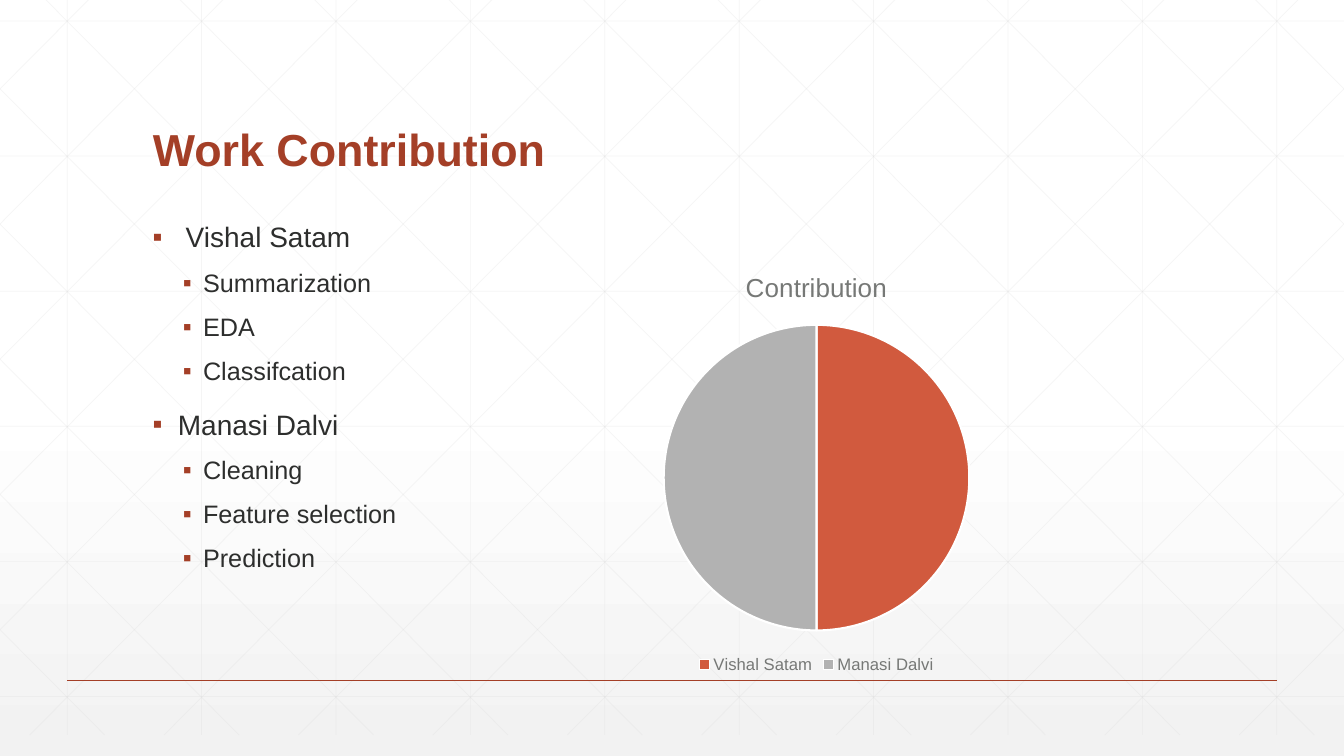
from copy import deepcopy

from lxml import etree
from pptx import Presentation
from pptx.chart.data import CategoryChartData
from pptx.dml.color import RGBColor
from pptx.enum.chart import XL_CHART_TYPE, XL_LEGEND_POSITION
from pptx.enum.shapes import MSO_CONNECTOR
from pptx.enum.text import MSO_ANCHOR, MSO_AUTO_SIZE, PP_ALIGN
from pptx.oxml.ns import qn
from pptx.util import Pt

PIE = XL_CHART_TYPE.PIE
LEGEND_BOTTOM = XL_LEGEND_POSITION.BOTTOM
STRAIGHT = MSO_CONNECTOR.STRAIGHT
ANCHOR_BOTTOM = MSO_ANCHOR.BOTTOM
NO_AUTOFIT = MSO_AUTO_SIZE.NONE
LEFT = PP_ALIGN.LEFT

COLORS = {
    "white": "FFFFFF",
    "fade": "F2F2F2",
    "grid": "D9D9D9",
    "accent": "A43F27",
    "text": "2D2E2D",
    "muted": "767876",
    "orange": "D15A3E",
    "gray": "B2B2B2",
}
FONT = "Arial"
WIDTH, HEIGHT = 960, 540
GRID_TOP, GRID_BOTTOM = -15, 525
PITCH = 96
SLOPE = 1.006

CONTRIBUTIONS = {
    " Vishal Satam": ["Summarization", "EDA", "Classifcation"],
    "Manasi Dalvi": ["Cleaning", "Feature selection", "Prediction"],
}
LEVELS = [
    {"size": 20, "before": 18, "margin": 18, "indent": -18},
    {"size": 18, "before": 12, "margin": 36, "indent": -14.4},
]


def format_font(font, size, color, bold=False):
    values = {"name": FONT, "size": Pt(size), "bold": bold}
    for name, value in values.items():
        setattr(font, name, value)
    font.color.rgb = RGBColor.from_string(COLORS[color])


def add_line(start, end, color, width, opacity=100):
    line = slide.shapes.add_connector(STRAIGHT, *[Pt(value) for value in (*start, *end)])
    line.line.color.rgb = RGBColor.from_string(COLORS[color])
    line.line.width = Pt(width)
    properties = line.element.find(qn("p:spPr"))
    if opacity < 100:
        alpha = etree.SubElement(next(properties.iter(qn("a:srgbClr"))), qn("a:alpha"))
        alpha.set("val", str(opacity * 1000))
    etree.SubElement(properties, qn("a:effectLst"))


presentation = Presentation()
presentation.slide_width = Pt(WIDTH)
presentation.slide_height = Pt(HEIGHT)
slide = presentation.slides.add_slide(presentation.slide_layouts[5])

background = slide.background.fill
background.gradient()
background.gradient_angle = 270
first_stop, last_stop = background.gradient_stops
first_stop.color.rgb = RGBColor.from_string(COLORS["white"])
first_stop.position = 0
last_stop.color.rgb = RGBColor.from_string(COLORS["fade"])
last_stop.position = 1
stop_list = next(slide.element.iter(qn("a:gsLst")))
middle_stop = deepcopy(stop_list[0])
middle_stop.set("pos", "53000")
stop_list.insert(1, middle_stop)

grid_lines = []
for column in range(10):
    x = 48 + PITCH * column
    grid_lines.append(((x, GRID_TOP), (x, GRID_BOTTOM)))
for row in range(6):
    y = 15 + 96.5 * row
    grid_lines.append(((0, y), (WIDTH, y)))
for diagonal in range(-5, 10):
    top_x = 18 + PITCH * diagonal
    start_x = max(top_x, 0)
    end_x = min(top_x + (GRID_BOTTOM - GRID_TOP) / SLOPE, WIDTH)
    start_y, end_y = [GRID_TOP + (x - top_x) * SLOPE for x in (start_x, end_x)]
    grid_lines.append(((start_x, start_y), (end_x, end_y)))
    grid_lines.append(((WIDTH - start_x, start_y), (WIDTH - end_x, end_y)))
for start, end in grid_lines:
    add_line(start, end, "grid", 0.5, 25)
add_line((48, 486), (912, 486), "accent", 1)

title = slide.shapes.title
title.element.getparent().append(title.element)
title_box = {"left": 102, "top": 39.6, "width": 756, "height": 90}
for name, value in title_box.items():
    setattr(title, name, Pt(value))
title.text_frame.text = "Work Contribution"
title.text_frame.vertical_anchor = ANCHOR_BOTTOM
title.text_frame.auto_size = NO_AUTOFIT
title_paragraph = title.text_frame.paragraphs[0]
title_paragraph.alignment = LEFT
title_paragraph.line_spacing = 0.9
format_font(title_paragraph.runs[0].font, 32, "accent", True)

body = slide.shapes.add_textbox(Pt(102), Pt(156), Pt(756), Pt(300)).text_frame
body.word_wrap = True
items = []
for person, tasks in CONTRIBUTIONS.items():
    items.append((person, 0))
    items.extend((task, 1) for task in tasks)
for index, (text, level) in enumerate(items):
    style = LEVELS[level]
    paragraph = body.add_paragraph() if index else body.paragraphs[0]
    paragraph.level = level
    paragraph.line_spacing = 0.9
    paragraph.space_before = Pt(style["before"])
    run = paragraph.add_run()
    run.text = text
    format_font(run.font, style["size"], "text")
    properties = paragraph._p.get_or_add_pPr()
    properties.set("marL", str(Pt(style["margin"])))
    properties.set("indent", str(Pt(style["indent"])))
    bullet_color = etree.SubElement(properties, qn("a:buClr"))
    etree.SubElement(bullet_color, qn("a:srgbClr")).set("val", COLORS["accent"])
    etree.SubElement(properties, qn("a:buFont")).set("typeface", FONT)
    etree.SubElement(properties, qn("a:buChar")).set("char", "▪")

chart_data = CategoryChartData()
chart_data.categories = [person.strip() for person in CONTRIBUTIONS]
chart_data.add_series("Contribution", [50, 50])
chart = slide.shapes.add_chart(PIE, Pt(366.5), Pt(180), Pt(433.5), Pt(304), chart_data).chart
format_font(chart.font, 10, "text")
chart.has_title = True
chart.chart_title.include_in_layout = False
chart.chart_title.text_frame.text = "Contribution"
format_font(chart.chart_title.text_frame.paragraphs[0].runs[0].font, 18.6, "muted")
chart.has_legend = True
chart.legend.position = LEGEND_BOTTOM
chart.legend.include_in_layout = False
format_font(chart.legend.font, 11.9, "muted")
pie = chart.plots[0]
pie.vary_by_categories = True
for index, color in enumerate(["orange", "gray"]):
    slice_format = pie.series[0].points[index].format
    slice_format.fill.solid()
    slice_format.fill.fore_color.rgb = RGBColor.from_string(COLORS[color])
    slice_format.line.color.rgb = RGBColor.from_string(COLORS["white"])
    slice_format.line.width = Pt(1.5)

presentation.save("out.pptx")
